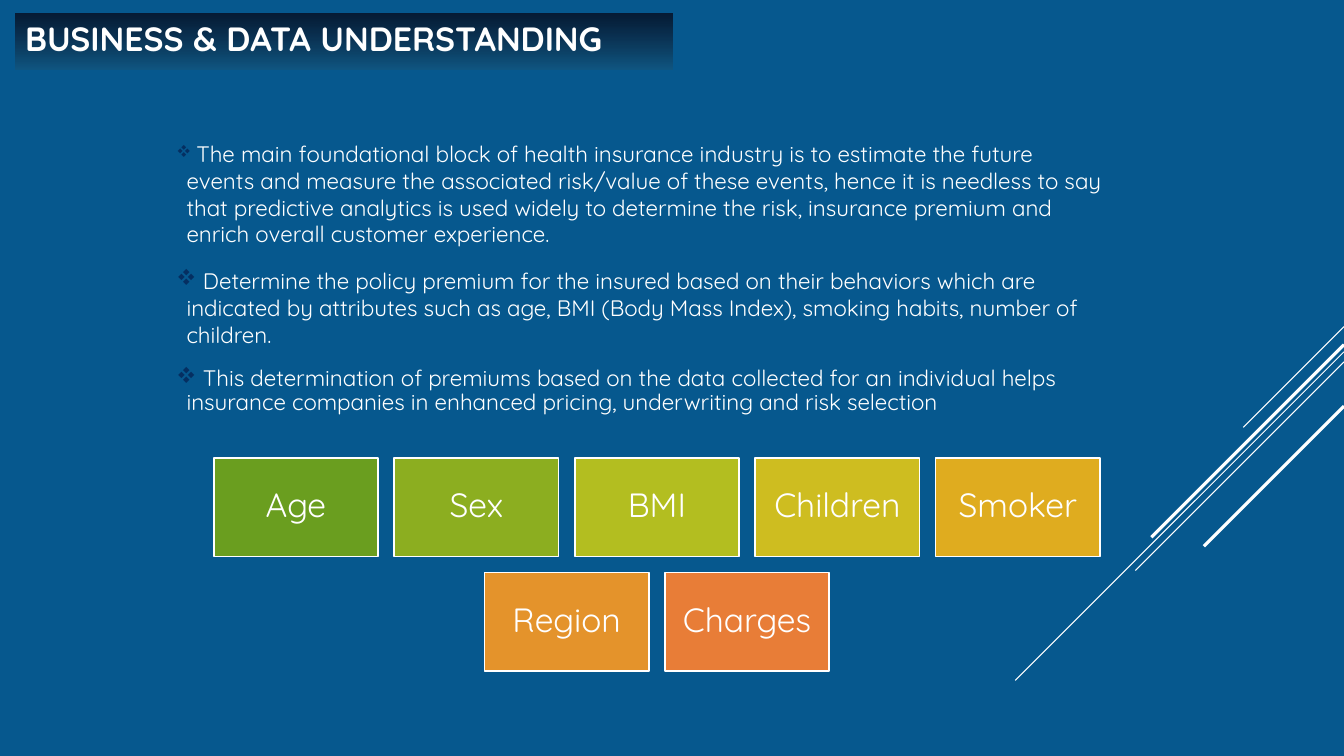
from lxml import etree
from pptx import Presentation
from pptx.dml.color import RGBColor
from pptx.enum.shapes import MSO_CONNECTOR, MSO_SHAPE
from pptx.enum.text import MSO_ANCHOR, PP_ALIGN
from pptx.oxml.ns import qn
from pptx.util import Inches, Pt

STRAIGHT = MSO_CONNECTOR.STRAIGHT
RECTANGLE = MSO_SHAPE.RECTANGLE
TOP, MIDDLE = MSO_ANCHOR.TOP, MSO_ANCHOR.MIDDLE
LEFT, CENTER = PP_ALIGN.LEFT, PP_ALIGN.CENTER

FONT = "Quicksand"
WHITE = "FFFFFF"
BACKGROUND = "06588E"
BULLET_COLOR = "052F61"
TITLE_STOPS = [("070C1E", 80), ("125680", 90)]
STREAKS = [
    (3.24, 1.0, 0.75),
    (3.49, 3.26, 0.75),
    (3.59, 2.07, 0.75),
    (3.42, 1.91, 2.25),
    (4.03, 1.39, 2.25),
]
STATEMENTS = [
    ([(" ", 12), ("The main foundational block of health insurance industry is to estimate the future "
                  "events and measure the associated risk/value of these events, hence it is needless to say "
                  "that predictive analytics is used widely to determine the risk, insurance premium and "
                  "enrich overall customer experience.", 16)], 1.0),
    ([(" Determine the policy premium for the insured based on their behaviors which are indicated by "
       "attributes such as age, BMI (Body Mass Index), smoking habits, number of children.", 16)], 1.0),
    ([(" This determination of premiums based on the data collected for an individual helps insurance "
       "companies in enhanced pricing, underwriting and risk selection", 16)], 0.9),
]
ATTRIBUTE_ROWS = [
    [("Age", "6A9E1F"), ("Sex", "8CAE20"), ("BMI", "B3BE20"), ("Children", "CEBD20"), ("Smoker", "DFAC1F")],
    [("Region", "E4932B"), ("Charges", "E87D37")],
]


def color(value):
    return RGBColor.from_string(value)


def apply(target, values):
    for name, value in values.items():
        setattr(target, name, value)


def add_run(paragraph, text, size, bold=False):
    run = paragraph.add_run()
    run.text = text
    apply(run.font, {"name": FONT, "size": Pt(size), "bold": bold})
    run.font.color.rgb = color(WHITE)


def set_frame(frame, anchor, horizontal, vertical):
    apply(frame, {
        "word_wrap": True, "vertical_anchor": anchor,
        "margin_left": Inches(horizontal), "margin_right": Inches(horizontal),
        "margin_top": Inches(vertical), "margin_bottom": Inches(vertical),
    })


def add_rectangle(slide, box):
    shape = slide.shapes.add_shape(RECTANGLE, *map(Inches, box))
    shape.shadow.inherit = False
    return shape


def add_bullet(paragraph):
    properties = paragraph._p.get_or_add_pPr()
    properties.set("marL", str(Inches(0.1)))
    properties.set("indent", str(-Inches(0.1)))
    bullet_color = etree.SubElement(properties, qn("a:buClr"))
    etree.SubElement(bullet_color, qn("a:srgbClr"), val=BULLET_COLOR)
    etree.SubElement(properties, qn("a:buFont"), typeface="Wingdings", charset="2")
    etree.SubElement(properties, qn("a:buChar"), char="v")


def draw_streaks(slide, right):
    for top, reach, width in STREAKS:
        ends = (right, top, right - reach, top + reach)
        streak = slide.shapes.add_connector(STRAIGHT, *map(Inches, ends))
        streak.line.color.rgb = color(WHITE)
        streak.line.width = Pt(width)
        etree.SubElement(streak._element.spPr, qn("a:effectLst"))


def draw_title(slide, box, text):
    banner = add_rectangle(slide, box)
    banner.line.fill.background()
    banner.fill.gradient()
    banner.fill.gradient_angle = 270
    for stop, position, (value, _) in zip(banner.fill.gradient_stops, (0, 1), TITLE_STOPS):
        stop.position = position
        stop.color.rgb = color(value)
    stop_colors = banner._element.spPr.iter(qn("a:srgbClr"))
    for element, (_, opacity) in zip(list(stop_colors), TITLE_STOPS):
        etree.SubElement(element, qn("a:alpha"), val=str(opacity * 1000))
    set_frame(banner.text_frame, TOP, 0.1, 0.05)
    paragraph = banner.text_frame.paragraphs[0]
    paragraph.alignment = LEFT
    add_run(paragraph, text, 24, bold=True)


def draw_statements(slide, box):
    frame = slide.shapes.add_textbox(*map(Inches, box)).text_frame
    set_frame(frame, TOP, 0.05, 0.05)
    for index, (runs, spacing) in enumerate(STATEMENTS):
        paragraph = frame.add_paragraph() if index else frame.paragraphs[0]
        apply(paragraph, {"line_spacing": spacing, "space_before": Pt(12), "space_after": Pt(2)})
        add_bullet(paragraph)
        for text, size in runs:
            add_run(paragraph, text, size)


def draw_attributes(slide, box):
    left, top, width, height = box
    card_width, card_height, gap = 1.63, 0.98, 0.16
    for row_index, row in enumerate(ATTRIBUTE_ROWS):
        row_width = len(row) * (card_width + gap) - gap
        row_left = left + (width - row_width) / 2
        row_top = top + row_index * (height - card_height)
        for index, (label, fill) in enumerate(row):
            card_left = row_left + index * (card_width + gap)
            card = add_rectangle(slide, (card_left, row_top, card_width, card_height))
            card.fill.solid()
            card.fill.fore_color.rgb = color(fill)
            card.line.color.rgb = color(WHITE)
            card.line.width = Pt(1.25)
            set_frame(card.text_frame, MIDDLE, 0.1, 0.1)
            paragraph = card.text_frame.paragraphs[0]
            apply(paragraph, {"alignment": CENTER, "line_spacing": 0.9})
            add_run(paragraph, label, 24)


def main():
    presentation = Presentation()
    presentation.slide_width = Inches(13.33)
    presentation.slide_height = Inches(7.5)
    slide = presentation.slides.add_slide(presentation.slide_layouts[6])
    slide.background.fill.solid()
    slide.background.fill.fore_color.rgb = color(BACKGROUND)
    draw_streaks(slide, 13.33)
    draw_statements(slide, (1.7, 1.34, 9.28, 3.37))
    draw_attributes(slide, (2.12, 4.54, 8.79, 2.12))
    draw_title(slide, (0.15, 0.13, 6.52, 0.56), "BUSINESS & DATA UNDERSTANDING")
    presentation.save("out.pptx")


if __name__ == "__main__":
    main()
